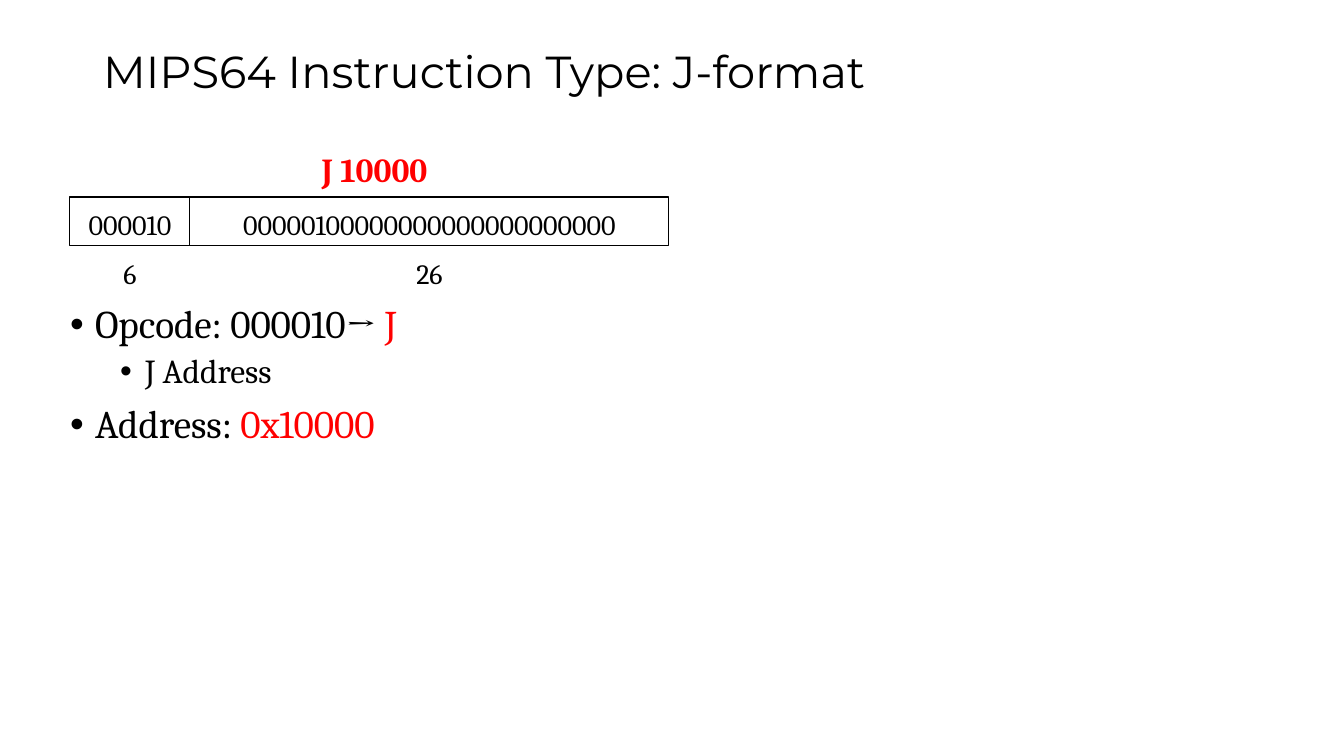
from dataclasses import dataclass

from lxml.etree import SubElement
from pptx import Presentation
from pptx.dml.color import RGBColor as RGB
from pptx.enum.shapes import MSO_SHAPE as SHAPE
from pptx.enum.text import MSO_ANCHOR as ANCHOR, PP_ALIGN as ALIGN
from pptx.oxml.ns import qn
from pptx.util import Pt

EMU_PER_PX = 914400 / 100.8


def px(n):
    return round(n * EMU_PER_PX)


@dataclass(frozen=True)
class Theme:
    ink: RGB = RGB(0, 0, 0)
    accent: RGB = RGB(255, 0, 0)
    head_font: str = "Montserrat"
    text_font: str = "Cambria"
    title: int = 32
    levels: tuple = (28, 24)
    example: int = 24
    bits: int = 20
    line: float = 0.75


class Deck:
    def __init__(self, theme, slide):
        self.t, self.s = theme, slide

    def place(self, sp, box):
        sp.left, sp.top, sp.width, sp.height = map(px, box)

    def run(self, p, text, size, color=None, font=None, bold=False):
        r = p.add_run()
        r.text = text
        r.font.size, r.font.bold = Pt(size), bold
        r.font.name = font or self.t.text_font
        r.font.color.rgb = color or self.t.ink

    def centred(self, sp, text, size, color=None, bold=False, inset=10):
        tf = sp.text_frame
        tf.vertical_anchor = ANCHOR.TOP
        tf.margin_left = tf.margin_right = px(10)
        tf.margin_top = tf.margin_bottom = px(inset)
        p = tf.paragraphs[0]
        p.alignment = ALIGN.CENTER
        self.run(p, text, size, color, bold=bold)

    def title(self, box, text):
        sp = self.s.shapes.title
        self.place(sp, box)
        sp.text_frame.vertical_anchor = ANCHOR.MIDDLE
        p = sp.text_frame.paragraphs[0]
        p.alignment, p.line_spacing = ALIGN.LEFT, 0.9
        self.run(p, text, self.t.title, font=self.t.head_font)

    def label(self, box, text, size, **style):
        self.centred(self.s.shapes.add_textbox(*map(px, box)), text, size, **style)

    def field(self, box, bits):
        sp = self.s.shapes.add_shape(SHAPE.RECTANGLE, *map(px, box))
        sp.shadow.inherit = False
        sp.fill.background()
        sp.line.color.rgb, sp.line.width = self.t.ink, Pt(self.t.line)
        self.centred(sp, bits, self.t.bits)

    def bullets(self, box, items):
        sp = self.s.placeholders[1]
        self.place(sp, box)
        tf = sp.text_frame
        for i, (level, runs) in enumerate(items):
            p = tf.add_paragraph() if i else tf.paragraphs[0]
            p.level, p.line_spacing = level, 0.9
            p.space_before = Pt(5 if level else 10)
            pPr = p._p.get_or_add_pPr()
            pPr.set("marL", str(px(25 + 50 * level)))
            pPr.set("indent", str(-px(25)))
            SubElement(pPr, qn("a:buFont")).set("typeface", "Arial")
            SubElement(pPr, qn("a:buChar")).set("char", "•")
            for text, color in runs:
                self.run(p, text, self.t.levels[level], color)


prs = Presentation()
prs.slide_width, prs.slide_height = px(1344), px(756)
theme = Theme()
deck = Deck(theme, prs.slides.add_slide(prs.slide_layouts[1]))

# Heading
deck.title((93, 40, 1159, 68), "MIPS64 Instruction Type: J-format")

# Instruction word: each field with its bit count below
FIELDS = [("000010", 120), ("00000100000000000000000000", 479)]
x = 70
for bits, width in FIELDS:
    deck.field((x, 197, width, 49), bits)
    deck.label((x, 247, width, 33), str(len(bits)), theme.bits)
    x += width

# Decoded fields
deck.bullets((60, 300, 632, 410), [
    (0, [("Opcode: 000010→ ", theme.ink), ("J", theme.accent)]),
    (1, [("J Address", theme.ink)]),
    (0, [("Address: ", theme.ink), ("0x10000", theme.accent)]),
])

# Assembly example above the word
deck.label((101, 144, 547, 50), "J 10000", theme.example,
           color=theme.accent, bold=True, inset=5)

prs.save("out.pptx")
